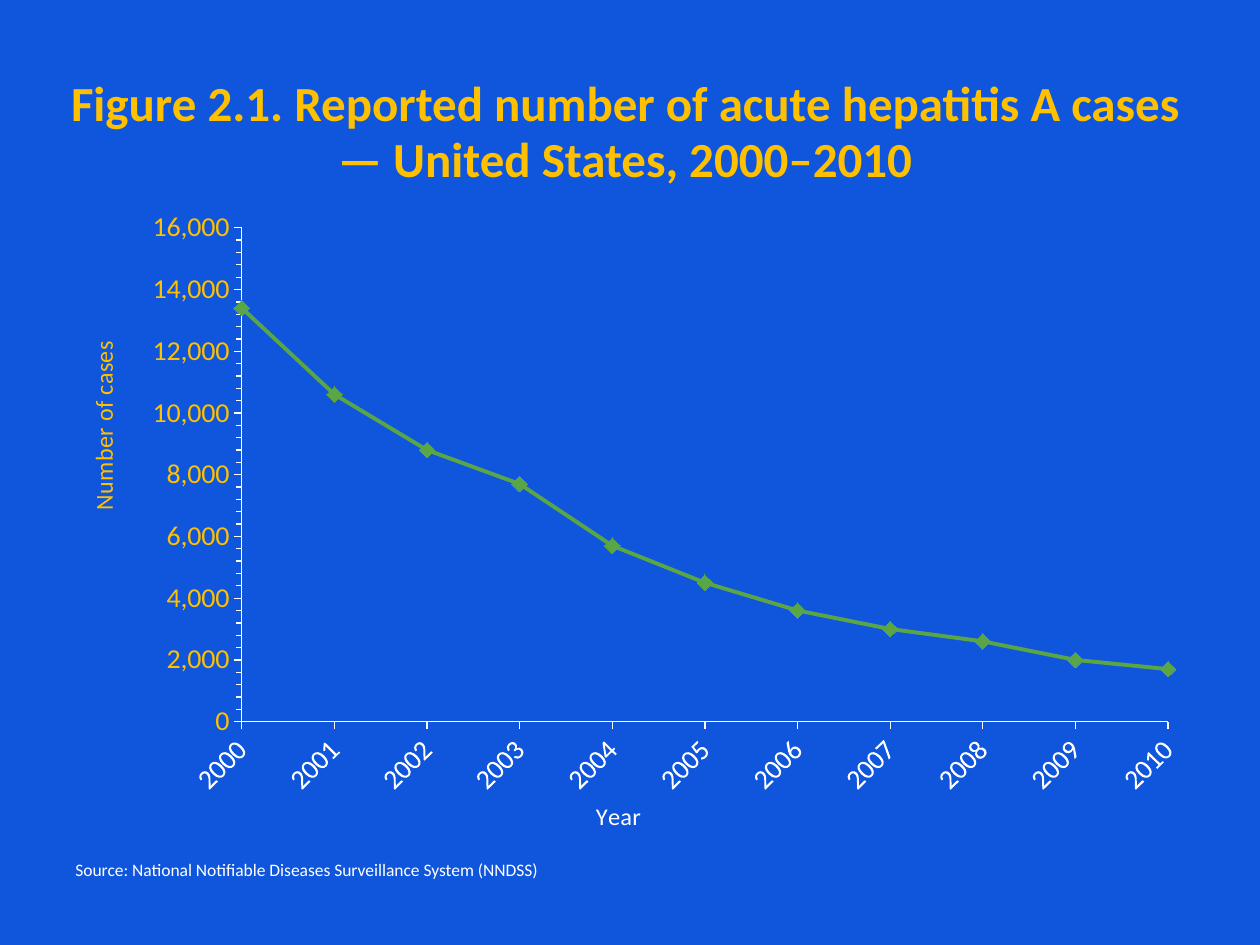
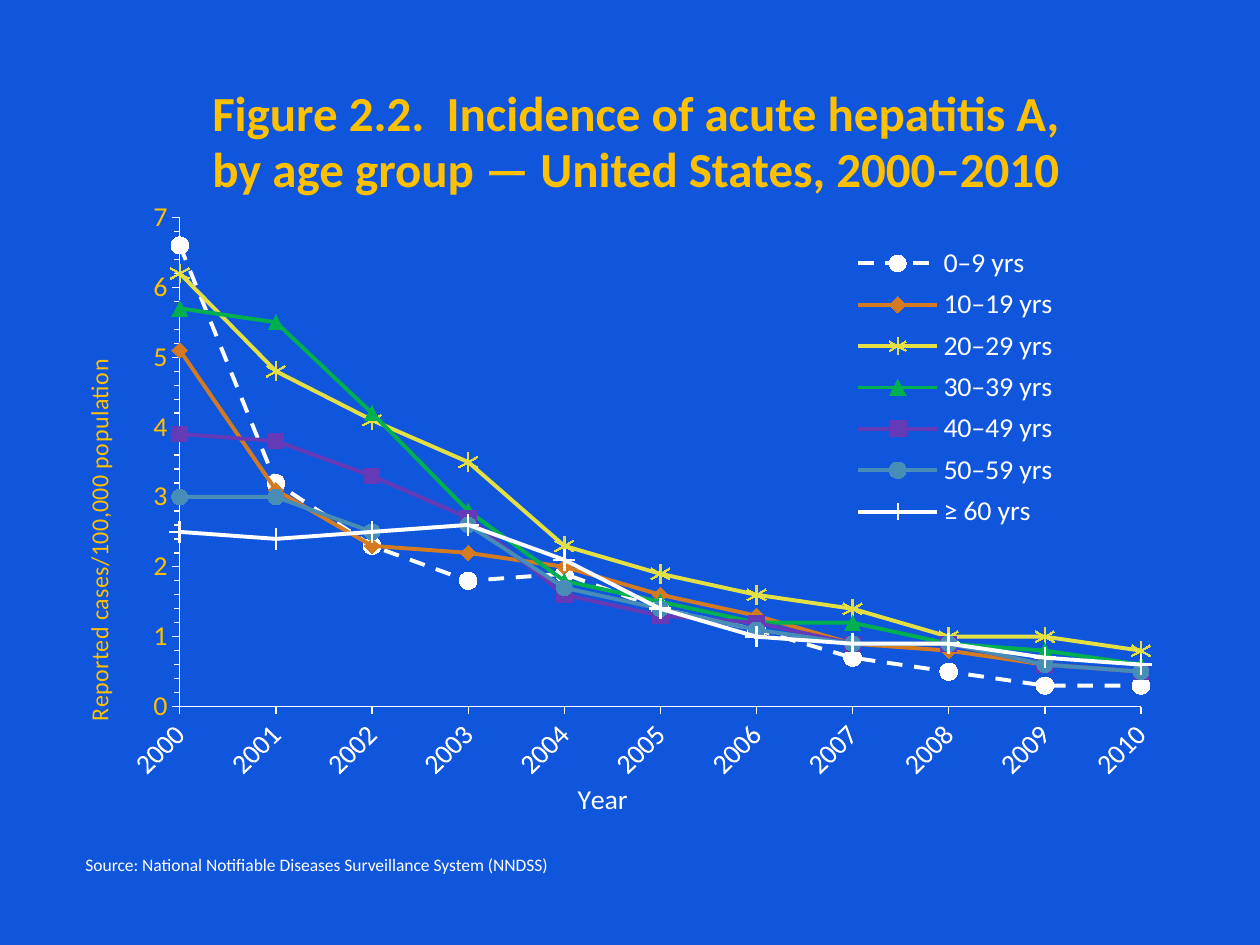
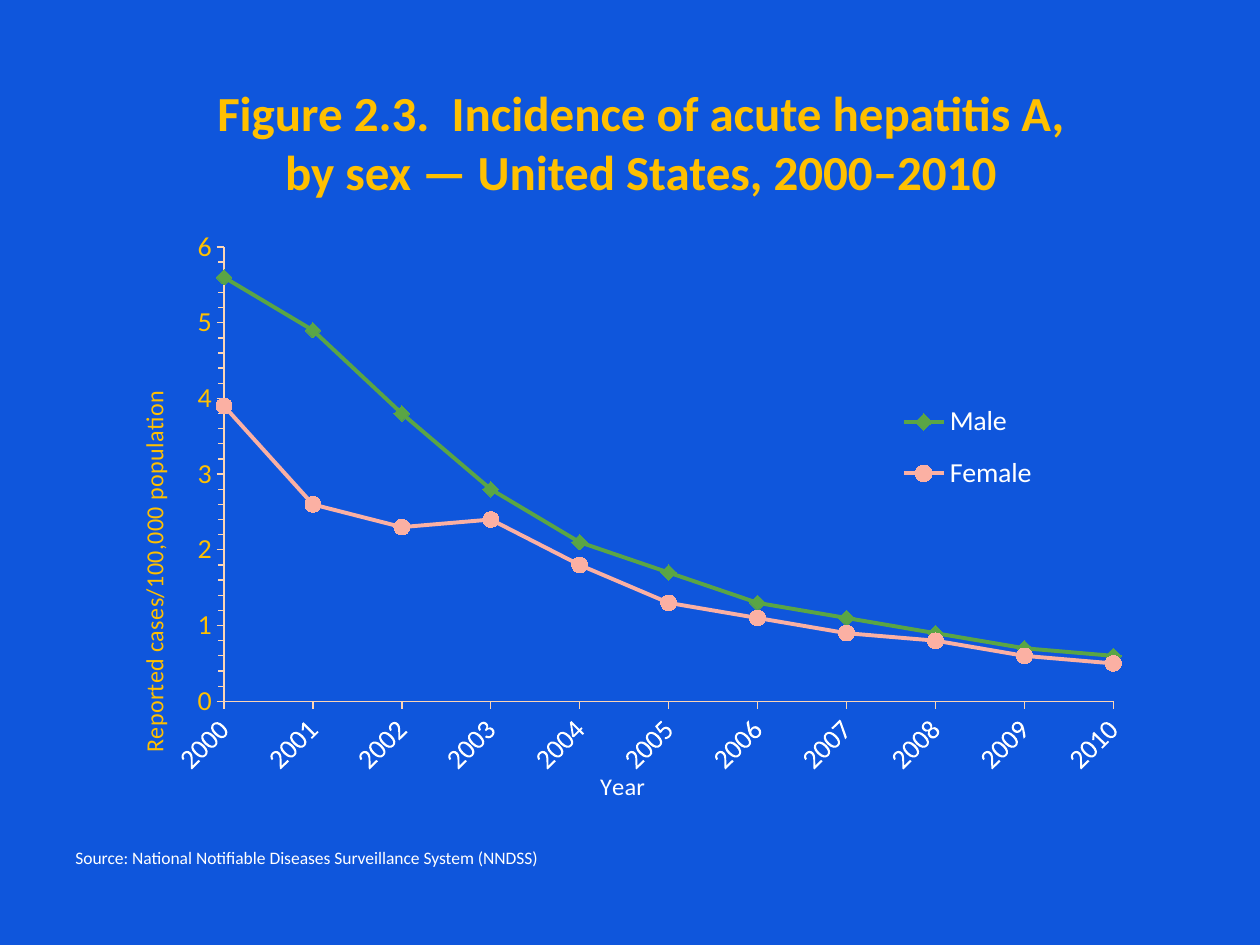
from lxml.etree import SubElement
from pptx import Presentation
from pptx.chart.data import CategoryChartData
from pptx.dml.color import RGBColor
from pptx.enum.chart import XL_CHART_TYPE, XL_LEGEND_POSITION, XL_MARKER_STYLE, XL_TICK_MARK
from pptx.enum.dml import MSO_LINE
from pptx.enum.text import MSO_ANCHOR, MSO_AUTO_SIZE, PP_ALIGN
from pptx.oxml.ns import qn
from pptx.util import Inches, Pt

FONT = "Calibri"
COLORS = {
    "background": "0F56DC", "gold": "FFC000", "white": "FFFFFF", "cream": "FCD5B5",
    "leaf": "5AA545", "orange": "D47B22", "yellow": "E4E044", "green": "00B050",
    "purple": "6639B7", "steel": "488DB8", "pink": "FBB0A3",
}
YEARS = [str(year) for year in range(2000, 2011)]
SOURCE = "Source: National Notifiable Diseases Surveillance System (NNDSS)"
RATE = "Reported cases/100,000 population"
WIDE_PLOT = (0.105, 0.046, 0.864, 0.788)

FIGURES = [
    {
        "title": "Figure 2.1. Reported number of acute hepatitis A cases — United States, 2000–2010",
        "title_box": (0.25, 0.5, 9.42, 1.25), "title_bottom": 0.21, "line_spacing": 32,
        "chart_box": (0.55, 1.58, 9.01, 5.08), "plot": (0.152, 0.046, 0.816, 0.788),
        "value_title": ("Number of cases", 0.011, 0.225), "year_title": (14, 0.46, 0.951),
        "scale": (16000, 2000, "#,##0"), "axis_color": "white", "legend": None,
        "source_box": (0.5, 6.77, 6.67, 0.27),
        "series": [
            ("Series 1", "leaf", "DIAMOND", 9,
             [13400, 10600, 8800, 7700, 5700, 4500, 3600, 3000, 2600, 2000, 1700]),
        ],
    },
    {
        "title": "Figure 2.2.  Incidence of acute hepatitis A,\vby age group — United States, 2000–2010",
        "title_box": (0.42, 0.58, 9.25, 1.08), "title_bottom": 0.05, "line_spacing": 32,
        "chart_box": (0.5, 1.5, 8.83, 5.05), "plot": WIDE_PLOT,
        "value_title": (RATE, 0.013, 0.281), "year_title": (16, 0.458, 0.945),
        "scale": (7, 1, "0"), "axis_color": "white", "legend": (0.707, 0.08, 0.19, 0.48),
        "source_box": (0.58, 6.73, 8.33, 0.27),
        "series": [
            ("0–9 yrs", "white", "CIRCLE", 10, [6.6, 3.2, 2.3, 1.8, 1.9, 1.4, 1.1, 0.7, 0.5, 0.3, 0.3]),
            ("10–19 yrs", "orange", "DIAMOND", 9, [5.1, 3.1, 2.3, 2.2, 2, 1.6, 1.3, 0.9, 0.8, 0.6, 0.5]),
            ("20–29 yrs", "yellow", "STAR", 11, [6.2, 4.8, 4.1, 3.5, 2.3, 1.9, 1.6, 1.4, 1, 1, 0.8]),
            ("30–39 yrs", "green", "TRIANGLE", 9, [5.7, 5.5, 4.2, 2.8, 1.8, 1.5, 1.2, 1.2, 0.9, 0.8, 0.6]),
            ("40–49 yrs", "purple", "SQUARE", 9, [3.9, 3.8, 3.3, 2.7, 1.6, 1.3, 1.2, 0.9, 0.9, 0.6, 0.5]),
            ("50–59 yrs", "steel", "CIRCLE", 9, [3, 3, 2.5, 2.6, 1.7, 1.4, 1.1, 0.9, 0.9, 0.6, 0.5]),
            ("≥ 60 yrs", "white", "PLUS", 12, [2.5, 2.4, 2.5, 2.6, 2.1, 1.4, 1, 0.9, 0.9, 0.7, 0.6]),
        ],
        "dashed": ["0–9 yrs"],
    },
    {
        "title": "Figure 2.3.  Incidence of acute hepatitis A,\vby sex — United States, 2000–2010",
        "title_box": (0.42, 0.58, 9.33, 1.08), "title_bottom": 0.05, "line_spacing": None,
        "chart_box": (0.92, 1.75, 8.17, 4.67), "plot": WIDE_PLOT,
        "value_title": (RATE, 0.016, 0.3), "year_title": (14, 0.466, 0.944),
        "scale": (6, 1, "0"), "axis_color": "cream", "legend": (0.76, 0.289, 0.135, 0.21),
        "source_box": (0.5, 6.67, 8.92, 0.27),
        "series": [
            ("Male", "leaf", "DIAMOND", 9, [5.6, 4.9, 3.8, 2.8, 2.1, 1.7, 1.3, 1.1, 0.9, 0.7, 0.6]),
            ("Female", "pink", "CIRCLE", 9, [3.9, 2.6, 2.3, 2.4, 1.8, 1.3, 1.1, 0.9, 0.8, 0.6, 0.5]),
        ],
    },
]


def rgb(name):
    return RGBColor.from_string(COLORS[name])


def inches(lengths):
    return [Inches(length) for length in lengths]


def style_font(font, size, color, bold=False):
    font.name, font.size, font.bold = FONT, Pt(size), bold
    font.color.rgb = rgb(color)


def place(element, index, shares, inner=False):
    for old in element.findall(qn("c:layout")):
        element.remove(old)
    layout = element.makeelement(qn("c:layout"))
    element.insert(index, layout)
    manual = SubElement(layout, qn("c:manualLayout"))
    settings = [("layoutTarget", "inner")] if inner else []
    settings += [("xMode", "edge"), ("yMode", "edge")]
    settings += zip("xywh", shares)
    for tag, value in settings:
        SubElement(manual, qn(f"c:{tag}")).set("val", str(value))


def style_axis(axis, figure, color, title, title_size, position):
    axis.has_major_gridlines = False
    axis.major_tick_mark = XL_TICK_MARK.OUTSIDE
    axis.format.line.color.rgb = rgb(figure["axis_color"])
    axis.format.line.width = Pt(0.75)
    style_font(axis.tick_labels.font, 16, color)
    frame = axis.axis_title.text_frame
    frame.text = title
    style_font(frame.paragraphs[0].font, title_size, color)
    place(axis.axis_title._element, 1, position)


def start_on_axis(axis):
    for old in axis._element.findall(qn("c:crossBetween")):
        axis._element.remove(old)
    crossing = axis._element.makeelement(qn("c:crossBetween"), {"val": "midCat"})
    axis._element.find(qn("c:majorUnit")).addprevious(crossing)


def style_series(series, color, marker, size, dashed):
    series.smooth = False
    line = series.format.line
    line.color.rgb = rgb(color)
    line.width = Pt(2.25)
    if dashed:
        line.dash_style = MSO_LINE.DASH
    series.marker.style = XL_MARKER_STYLE[marker]
    series.marker.size = size
    series.marker.format.fill.solid()
    series.marker.format.fill.fore_color.rgb = rgb(color)
    series.marker.format.line.color.rgb = rgb(color)


def add_line_chart(page, figure):
    data = CategoryChartData()
    data.categories = YEARS
    for name, *_, values in figure["series"]:
        data.add_series(name, values)
    chart = page.shapes.add_chart(
        XL_CHART_TYPE.LINE_MARKERS, *inches(figure["chart_box"]), data).chart
    chart.has_title = False
    style_font(chart.font, 18, "gold")
    chart.plots[0].vary_by_categories = False
    place(chart._chartSpace.find(f".//{qn('c:plotArea')}"), 0, figure["plot"], inner=True)

    years, values = chart.category_axis, chart.value_axis
    year_size, *year_position = figure["year_title"]
    style_axis(years, figure, "white", "Year", year_size, year_position)
    years.minor_tick_mark = XL_TICK_MARK.NONE
    years._element.find(f"{qn('c:txPr')}/{qn('a:bodyPr')}").set("rot", "-2700000")

    value_title, *value_position = figure["value_title"]
    style_axis(values, figure, "gold", value_title, 14, value_position)
    values.axis_title._element.find(f".//{qn('a:bodyPr')}").set("rot", "-5400000")
    values.minor_tick_mark = XL_TICK_MARK.OUTSIDE
    values.minimum_scale = 0
    values.maximum_scale, values.major_unit, number_format = figure["scale"]
    values.minor_unit = values.major_unit / 5
    values.tick_labels.number_format = number_format
    values.tick_labels.number_format_is_linked = False
    start_on_axis(values)

    for series, (name, color, marker, size, _) in zip(chart.plots[0].series, figure["series"]):
        style_series(series, color, marker, size, name in figure.get("dashed", []))

    chart.has_legend = figure["legend"] is not None
    if chart.has_legend:
        chart.legend.position = XL_LEGEND_POSITION.RIGHT
        chart.legend.include_in_layout = False
        style_font(chart.legend.font, 16, "white")
        place(chart.legend._element, 1, figure["legend"])


def add_title(page, figure):
    title = page.shapes.title
    title.left, title.top, title.width, title.height = inches(figure["title_box"])
    frame = title.text_frame
    frame.auto_size = MSO_AUTO_SIZE.NONE
    frame.vertical_anchor = MSO_ANCHOR.MIDDLE
    frame.margin_bottom = Inches(figure["title_bottom"])
    frame.text = figure["title"]
    para = frame.paragraphs[0]
    para.alignment = PP_ALIGN.CENTER
    if figure["line_spacing"]:
        para.line_spacing = Pt(figure["line_spacing"])
    style_font(para.font, 28, "gold", bold=True)


def add_source(page, figure):
    frame = page.shapes.add_textbox(*inches(figure["source_box"])).text_frame
    frame.word_wrap = True
    frame.text = SOURCE
    style_font(frame.paragraphs[0].font, 10, "white")


def main():
    deck = Presentation()
    deck.slide_width, deck.slide_height = Inches(10), Inches(7.5)
    background = deck.slide_master.background.fill
    background.solid()
    background.fore_color.rgb = rgb("background")
    for figure in FIGURES:
        page = deck.slides.add_slide(deck.slide_layouts[5])
        add_title(page, figure)
        add_line_chart(page, figure)
        add_source(page, figure)
    deck.save("out.pptx")


if __name__ == "__main__":
    main()
